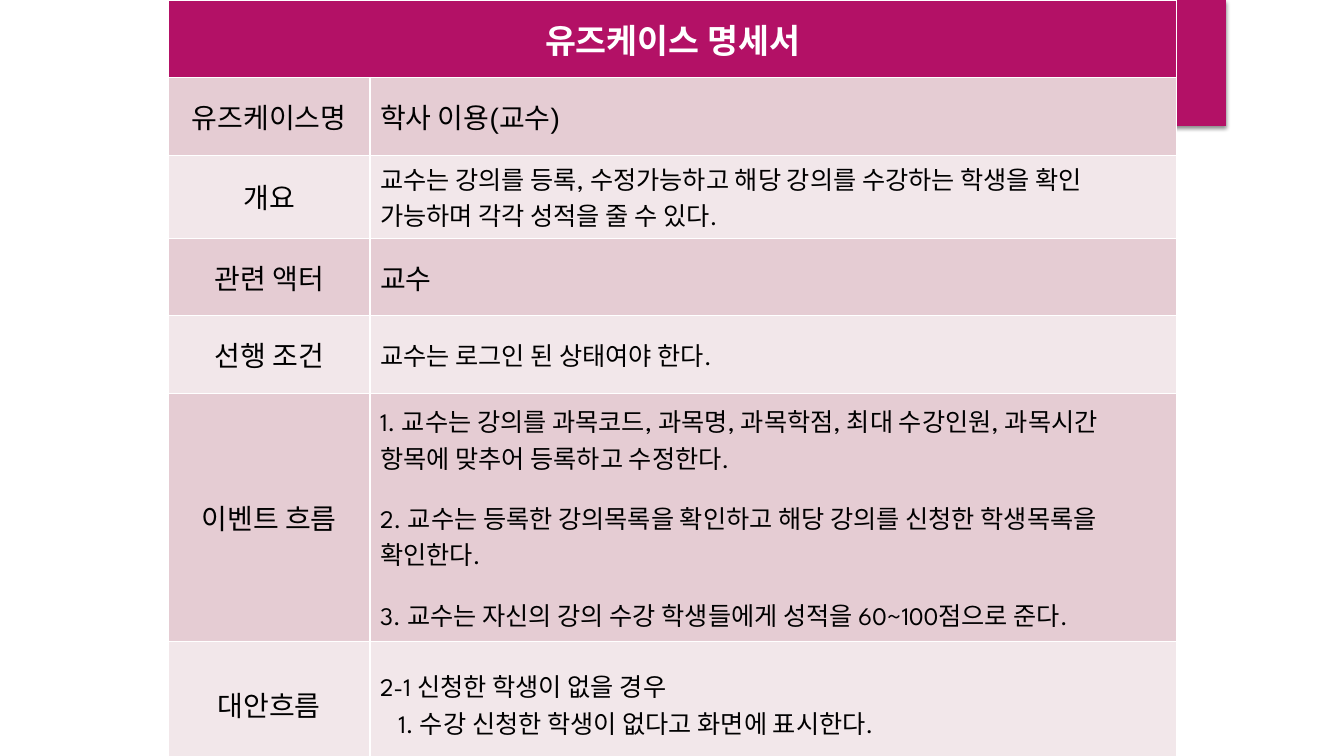
from lxml import etree
from pptx import Presentation
from pptx.dml.color import RGBColor
from pptx.enum.shapes import MSO_SHAPE
from pptx.enum.text import MSO_ANCHOR, PP_ALIGN
from pptx.oxml import parse_xml
from pptx.oxml.ns import nsdecls, qn
from pptx.util import Inches, Pt

PINK = RGBColor(0xB3, 0x11, 0x66)
ROSE = RGBColor(0xE5, 0xCC, 0xD3)
PALE = RGBColor(0xF2, 0xE7, 0xEA)
WHITE = RGBColor(0xFF, 0xFF, 0xFF)
BLACK = RGBColor(0, 0, 0)
HEAD, BODY = "League Spartan", "Arial"

# label, lines, font, size, row height
ROWS = [
    ("유즈케이스명", ["학사 이용(교수)"], BODY, 20, 0.77),
    ("개요", ["교수는 강의를 등록, 수정가능하고 해당 강의를 수강하는 학생을 확인 "
            "가능하며 각각 성적을 줄 수 있다."], HEAD, 18, 0.72),
    ("관련 액터", ["교수"], BODY, 20, 0.77),
    ("선행 조건", ["교수는 로그인 된 상태여야 한다."], HEAD, 18, 0.77),
    ("이벤트 흐름", [
        "1. 교수는 강의를 과목코드, 과목명, 과목학점, 최대 수강인원, 과목시간 "
        "항목에 맞추어 등록하고 수정한다.",
        "2. 교수는 등록한 강의목록을 확인하고 해당 강의를 신청한 학생목록을 확인한다.",
        "3. 교수는 자신의 강의 수강 학생들에게 성적을 60~100점으로 준다.",
    ], HEAD, 18, 2.46),
    ("대안흐름", ["2-1 신청한 학생이 없을 경우",
              "1. 수강 신청한 학생이 없다고 화면에 표시한다."], HEAD, 18, 1.24),
]


def fill_cell(cell, lines, font, size, color, back, align, bold=False):
    """Write lines into a cell and give it a fill and thin white borders."""
    cell.vertical_anchor = MSO_ANCHOR.MIDDLE
    frame = cell.text_frame
    frame.text = "\n".join(lines)
    for para in frame.paragraphs:
        para.alignment = align
        para.font.name = font
        para.font.size = Pt(size)
        para.font.bold = bold
        para.font.color.rgb = color
    props = cell._tc.get_or_add_tcPr()
    for side in ("lnL", "lnR", "lnT", "lnB"):
        line = etree.SubElement(props, qn(f"a:{side}"), w=str(Pt(1)))
        paint = etree.SubElement(line, qn("a:solidFill"))
        etree.SubElement(paint, qn("a:srgbClr"), val=str(WHITE))
    cell.fill.solid()
    cell.fill.fore_color.rgb = back


deck = Presentation()
deck.slide_width, deck.slide_height = Inches(13.33), Inches(7.5)
slide = deck.slides.add_slide(deck.slide_layouts[6])

# Corner tab
tab = slide.shapes.add_shape(
    MSO_SHAPE.RECTANGLE, Inches(11.41), 0, Inches(0.75), Inches(1.25))
tab.fill.solid()
tab.fill.fore_color.rgb = PINK
tab.line.fill.background()
tab._element.spPr.append(parse_xml(
    f'<a:effectLst {nsdecls("a")}>'
    f'<a:outerShdw blurRad="{Pt(3)}" dist="{Pt(2)}" dir="5400000" rotWithShape="0">'
    '<a:srgbClr val="000000"><a:alpha val="45000"/></a:srgbClr>'
    '</a:outerShdw></a:effectLst>'))

# Use case table
table = slide.shapes.add_table(
    len(ROWS) + 1, 2, Inches(1.67), 0, Inches(10), deck.slide_height).table
table.columns[0].width, table.columns[1].width = Inches(2), Inches(8)
table.rows[0].height = Inches(0.77)
title = table.cell(0, 0)
title.merge(table.cell(0, 1))
fill_cell(title, ["유즈케이스 명세서"], HEAD, 24, WHITE, PINK, PP_ALIGN.CENTER, True)

for row, (label, lines, font, size, height) in enumerate(ROWS, 1):
    table.rows[row].height = Inches(height)
    back = ROSE if row % 2 else PALE
    fill_cell(table.cell(row, 0), [label], BODY, 20, BLACK, back, PP_ALIGN.CENTER)
    fill_cell(table.cell(row, 1), lines, font, size, BLACK, back, PP_ALIGN.LEFT)

# Gaps between the steps of the flow, indent of the last step
for para in table.cell(5, 1).text_frame.paragraphs[1:]:
    para.space_before = Pt(17)
last = table.cell(6, 1).text_frame.paragraphs[1]
last._p.get_or_add_pPr().set("marL", str(Inches(0.18)))

deck.save("out.pptx")
